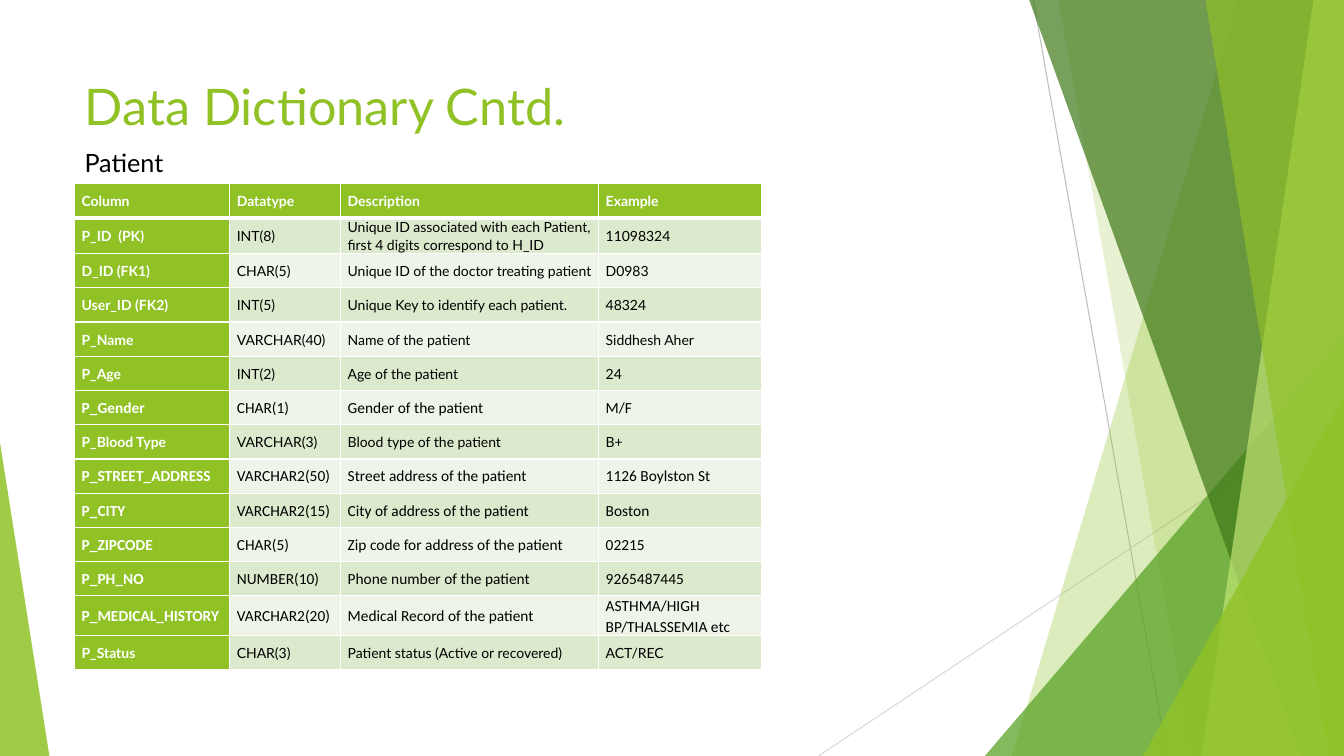
from lxml.etree import SubElement
from pptx import Presentation
from pptx.dml.color import RGBColor
from pptx.enum.shapes import MSO_CONNECTOR, MSO_SHAPE
from pptx.enum.text import MSO_ANCHOR
from pptx.oxml.ns import qn
from pptx.util import Inches, Pt

SLIDE_WIDTH, SLIDE_HEIGHT = Inches(13.333), Inches(7.5)

WHITE = RGBColor(0xFF, 0xFF, 0xFF)
BLACK = RGBColor(0, 0, 0)
LIME = RGBColor(0x90, 0xC2, 0x26)
PALE_LIME = RGBColor(0xC0, 0xE4, 0x74)
GREEN = RGBColor(0x54, 0xA0, 0x21)
DARK_GREEN = RGBColor(0x3F, 0x78, 0x19)
ROW_TINTS = (RGBColor(0xEE, 0xF4, 0xE8), RGBColor(0xDB, 0xE9, 0xCD))
GREY = RGBColor(0xBF, 0xBF, 0xBF)
LIGHT_GREY = RGBColor(0xD9, 0xD9, 0xD9)

LATO = ("Lato", 10)
CALIBRI = ("Calibri", 11)
LEFT_MARGIN = 5.55
COLUMN_WIDTHS = (11.55, 8.25, 19.2, 12.15)
ROW_HEIGHT = 4.53
HEADINGS = ("Column", "Datatype", "Description", "Example")
PATIENT_ROWS = (
    (LATO, "P_ID  (PK)", "INT(8)",
     "Unique ID associated with each Patient, first 4 digits correspond to H_ID", "11098324"),
    (LATO, "D_ID (FK1)", "CHAR(5)", "Unique ID of the doctor treating patient", "D0983"),
    (LATO, "User_ID (FK2)", "INT(5)", "Unique Key to identify each patient.", "48324"),
    (LATO, "P_Name", "VARCHAR(40)", "Name of the patient", "Siddhesh Aher"),
    (LATO, "P_Age", "INT(2)", "Age of the patient", "24"),
    (CALIBRI, "P_Gender", "CHAR(1)", "Gender of the patient", "M/F"),
    (LATO, "P_Blood Type", "VARCHAR(3)", "Blood type of the patient", "B+"),
    (CALIBRI, "P_STREET_ADDRESS", "VARCHAR2(50)", "Street address of the patient", "1126 Boylston St"),
    (CALIBRI, "P_CITY", "VARCHAR2(15)", "City of address of the patient", "Boston"),
    (CALIBRI, "P_ZIPCODE", "CHAR(5)", "Zip code for address of the patient", "02215"),
    (CALIBRI, "P_PH_NO", "NUMBER(10)", "Phone number of the patient", "9265487445"),
    (CALIBRI, "P_MEDICAL_HISTORY", "VARCHAR2(20)", "Medical Record of the patient",
     "ASTHMA/HIGH BP/THALSSEMIA etc"),
    (LATO, "P_Status", "CHAR(3)", "Patient status (Active or recovered)", "ACT/REC"),
)


def across(percent):
    return round(SLIDE_WIDTH * percent / 100)


def down(percent):
    return round(SLIDE_HEIGHT * percent / 100)


def style_text(text_frame, font_name, size, color, bold=False):
    for paragraph in text_frame.paragraphs:
        for run in paragraph.runs:
            run.font.name = font_name
            run.font.size = Pt(size)
            run.font.color.rgb = color
            run.font.bold = bold


def fill_glass(shape, color, opacity):
    """Fill a shape with a partly transparent colour and no outline."""
    shape.shadow.inherit = False
    shape.line.fill.background()
    shape.fill.solid()
    shape.fill.fore_color.rgb = color
    color_element = shape.fill._xPr.find(qn("a:solidFill"))[0]
    SubElement(color_element, qn("a:alpha"), val=str(opacity * 1000))


def add_hairline(slide, start, end, color):
    line = slide.shapes.add_connector(
        MSO_CONNECTOR.STRAIGHT, across(start[0]), down(start[1]), across(end[0]), down(end[1]))
    line.line.color.rgb = color
    line.line.width = Pt(0.75)
    SubElement(line._element.spPr, qn("a:effectLst"))


def add_ribbon(slide, top_left, bottom_left, color, opacity):
    """Add a full-height band reaching the right edge of the slide."""
    builder = slide.shapes.build_freeform(across(top_left), 0)
    builder.add_line_segments(
        [(SLIDE_WIDTH, 0), (SLIDE_WIDTH, SLIDE_HEIGHT), (across(bottom_left), SLIDE_HEIGHT)])
    fill_glass(builder.convert_to_shape(), color, opacity)


def add_corner(slide, left, top, width, apex, color, opacity):
    """Add a right triangle standing on the bottom edge of the slide."""
    triangle = slide.shapes.add_shape(
        MSO_SHAPE.ISOSCELES_TRIANGLE, across(left), down(top), across(width), down(100 - top))
    triangle.adjustments[0] = apex
    fill_glass(triangle, color, opacity)


def add_backdrop(slide):
    add_hairline(slide, (76.88, 0), (86.85, 100), GREY)
    add_hairline(slide, (100, 53.73), (60.9, 100), LIGHT_GREY)
    add_ribbon(slide, 92.1, 75.3, LIME, 30)
    add_ribbon(slide, 78.75, 88.73, LIME, 20)
    add_corner(slide, 73.28, 44.4, 26.72, 1, GREEN, 72)
    add_ribbon(slide, 76.58, 96.83, DARK_GREEN, 70)
    add_ribbon(slide, 97.73, 89.4, PALE_LIME, 70)
    add_ribbon(slide, 89.7, 98.85, LIME, 65)
    add_corner(slide, 85.05, 52.4, 14.95, 1, LIME, 80)
    add_corner(slide, 0, 58.53, 3.68, 0, LIME, 85)


def set_title(slide, text):
    title = slide.shapes.title
    title.left, title.top = across(LEFT_MARGIN), down(8.93)
    title.width, title.height = across(70.5), down(10)
    title.text_frame.text = text
    title.text_frame.vertical_anchor = MSO_ANCHOR.MIDDLE
    title.text_frame.paragraphs[0].alignment = 1
    style_text(title.text_frame, "Lato", 36, LIME)


def add_table_name(slide, text):
    box = slide.shapes.add_textbox(across(LEFT_MARGIN), down(18.8), across(21.83), down(5.33))
    box.text_frame.word_wrap = True
    box.text_frame.text = text
    style_text(box.text_frame, "Lato", 18, BLACK)


def add_borders(cell, bottom_width):
    properties = cell._tc.get_or_add_tcPr()
    for side, width in (("L", 1), ("R", 1), ("T", 1), ("B", bottom_width)):
        border = SubElement(properties, qn(f"a:ln{side}"), w=str(Pt(width)))
        fill = SubElement(border, qn("a:solidFill"))
        SubElement(fill, qn("a:srgbClr"), val=str(WHITE))


def format_cell(cell, text, font, fill_color, text_color, bold, bottom_width):
    add_borders(cell, bottom_width)
    cell.fill.solid()
    cell.fill.fore_color.rgb = fill_color
    cell.vertical_anchor = MSO_ANCHOR.MIDDLE
    cell.margin_left = cell.margin_right = Inches(0.07)
    cell.margin_top = cell.margin_bottom = 0
    cell.text_frame.text = text
    cell.text_frame.paragraphs[0].line_spacing = 1.07
    style_text(cell.text_frame, *font, text_color, bold)


def add_dictionary(slide):
    rows = ((LATO, *HEADINGS), *PATIENT_ROWS)
    table = slide.shapes.add_table(
        len(rows), len(HEADINGS), across(LEFT_MARGIN), down(24.27),
        across(sum(COLUMN_WIDTHS)), down(ROW_HEIGHT * len(rows))).table
    for column, width in zip(table.columns, COLUMN_WIDTHS):
        column.width = across(width)
    for row_index, (font, *texts) in enumerate(rows):
        table.rows[row_index].height = down(ROW_HEIGHT)
        is_header = row_index == 0
        for column_index, text in enumerate(texts):
            is_label = is_header or column_index == 0
            format_cell(
                table.cell(row_index, column_index), text, font,
                LIME if is_label else ROW_TINTS[row_index % 2],
                WHITE if is_label else BLACK, is_label, 3 if is_header else 1)


def main():
    presentation = Presentation()
    presentation.slide_width, presentation.slide_height = SLIDE_WIDTH, SLIDE_HEIGHT
    slide = presentation.slides.add_slide(presentation.slide_layouts.get_by_name("Title Only"))
    add_backdrop(slide)
    set_title(slide, "Data Dictionary Cntd.")
    add_table_name(slide, "Patient")
    add_dictionary(slide)
    presentation.save("out.pptx")


if __name__ == "__main__":
    main()
